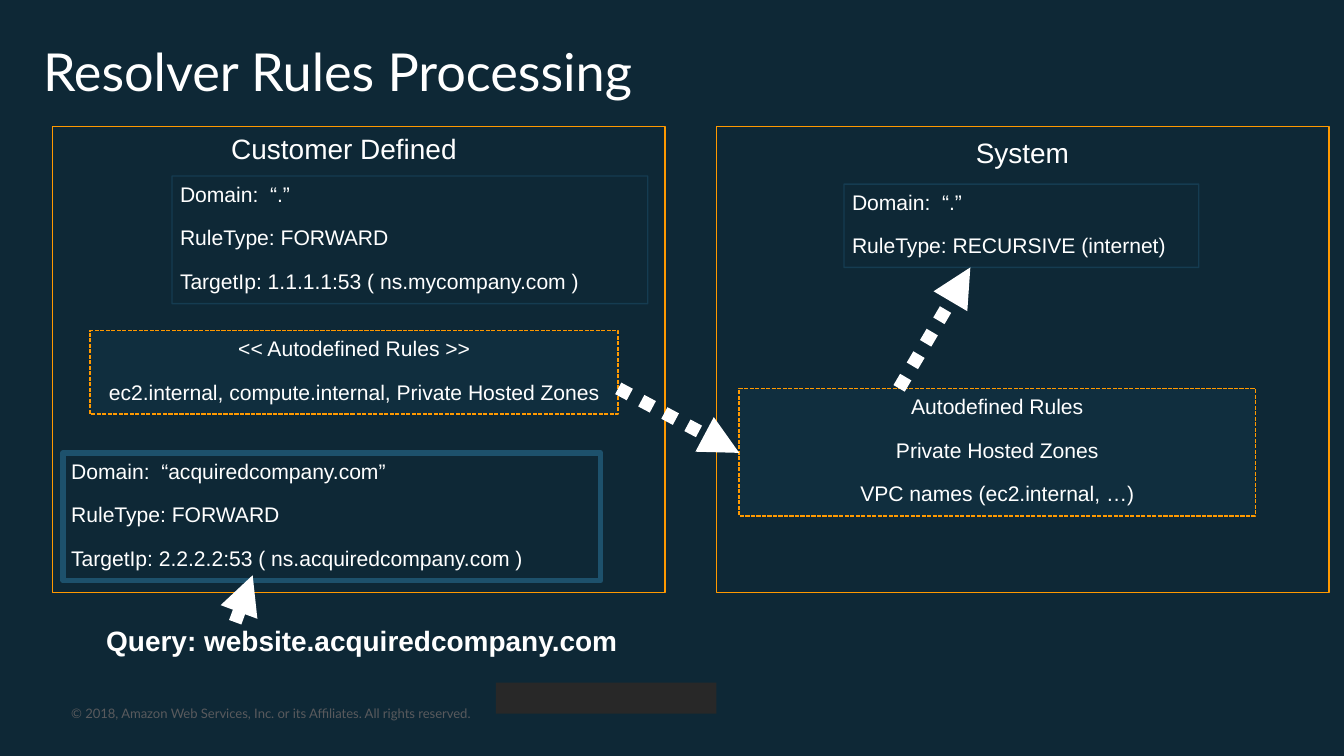
from lxml import etree
from pptx import Presentation
from pptx.dml.color import RGBColor
from pptx.enum.dml import MSO_LINE
from pptx.enum.shapes import MSO_CONNECTOR, MSO_SHAPE
from pptx.enum.text import MSO_ANCHOR, MSO_AUTO_SIZE, PP_ALIGN
from pptx.oxml.ns import qn
from pptx.util import Inches, Pt

NAVY = RGBColor(0x0E, 0x28, 0x36)
BLUE = RGBColor(0x1D, 0x51, 0x6C)
ORANGE = RGBColor(0xFF, 0x99, 0x00)
WHITE = RGBColor(0xFF, 0xFF, 0xFF)
GREY = RGBColor(0x59, 0x5A, 0x5D)
CHARCOAL = RGBColor(0x28, 0x28, 0x28)
LEFT, CENTER = PP_ALIGN.LEFT, PP_ALIGN.CENTER
TOP, NO_FIT = MSO_ANCHOR.TOP, MSO_AUTO_SIZE.NONE
RECTANGLE, STRAIGHT = MSO_SHAPE.RECTANGLE, MSO_CONNECTOR.STRAIGHT
DASH, DOT = MSO_LINE.SQUARE_DOT, MSO_LINE.ROUND_DOT
TITLE_ONLY = 5
PANEL_WIDTH, PANEL_HEIGHT = 4.56, 3.47


def write(frame, lines, size=11.25, font="Arial", color=WHITE, bold=False, align=LEFT,
          insets=(0.06, 0.06), wrap=True, line_spacing=0.9, space_after=11.25):
    frame.word_wrap = wrap
    frame.auto_size = NO_FIT
    frame.vertical_anchor = TOP
    frame.margin_left = frame.margin_right = Inches(insets[0])
    frame.margin_top = frame.margin_bottom = Inches(insets[1])
    for index, line in enumerate(lines):
        para = frame.add_paragraph() if index else frame.paragraphs[0]
        para.alignment = align
        para.line_spacing = line_spacing
        para.space_after = Pt(space_after)
        span = para.add_run()
        span.text = line
        span.font.name = font
        span.font.size = Pt(size)
        span.font.bold = bold
        span.font.color.rgb = color


def set_alpha(fill_holder, percent):
    """Make the solid fill colour inside the given XML element translucent."""
    color = fill_holder.find(qn("a:solidFill"))[0]
    etree.SubElement(color, qn("a:alpha"), val=str(percent * 1000))


def add_box(page, left, top, width, height, fill=None, fill_alpha=None,
            line=None, line_width=0.75, line_alpha=None, dash=None):
    box = page.shapes.add_shape(RECTANGLE, *map(Inches, (left, top, width, height)))
    box.shadow.inherit = False
    if fill is None:
        box.fill.background()
    else:
        box.fill.solid()
        box.fill.fore_color.rgb = fill
        if fill_alpha:
            set_alpha(box._element.spPr, fill_alpha)
    if line is None:
        box.line.fill.background()
    else:
        box.line.color.rgb = line
        box.line.width = Pt(line_width)
        if line_alpha:
            set_alpha(box.line._get_or_add_ln(), line_alpha)
        if dash:
            box.line.dash_style = dash
    return box


def add_label(page, text, left, top, width, height, **text_format):
    label = page.shapes.add_textbox(*map(Inches, (left, top, width, height)))
    write(label.text_frame, [text], **text_format)


def add_heading(page, text, left, top, width, bold=False):
    add_label(page, text, left, top, width, 0.43, size=15, bold=bold,
              insets=(0.12, 0.1), wrap=False)


def add_rule(page, lines, left, top, width, line_width=0.75, line_alpha=50):
    box = add_box(page, left, top, width, 0.95 if len(lines) == 3 else 0.62,
                  line=BLUE, line_width=line_width, line_alpha=line_alpha)
    write(box.text_frame, lines)


def add_autodefined(page, lines, left, top, width):
    box = add_box(page, left, top, width, 0.95 if len(lines) == 3 else 0.62,
                  fill=BLUE, fill_alpha=15, line=ORANGE, dash=DASH)
    write(box.text_frame, lines, align=CENTER)


def add_arrow(page, start, end, dash=None):
    arrow = page.shapes.add_connector(STRAIGHT, *map(Inches, start + end))
    arrow.line.color.rgb = WHITE
    arrow.line.width = Pt(7)
    if dash:
        arrow.line.dash_style = dash
    etree.SubElement(arrow.line._get_or_add_ln(), qn("a:tailEnd"), type="triangle")
    etree.SubElement(arrow._element.spPr, qn("a:effectLst"))


def add_title(page, left, top, width, height):
    title = page.shapes.title
    title.left, title.top, title.width, title.height = map(
        Inches, (left, top, width, height))
    write(title.text_frame, ["Resolver Rules Processing"], size=28, font="Lato",
          insets=(0.1, 0.05), line_spacing=1.0, space_after=0)


def add_footer(page, left, top):
    add_label(page, "© 2018, Amazon Web Services, Inc. or its Affiliates. All rights reserved.",
              left, top, 3.31, 0.12, size=7, font="Lato", color=GREY,
              insets=(0, 0), line_spacing=1.0, space_after=0)
    add_box(page, left + 3.16, top - 0.17, 1.64, 0.23, fill=CHARCOAL)


def add_customer_panel(page, left, top):
    add_box(page, left, top, PANEL_WIDTH, PANEL_HEIGHT, line=ORANGE)
    add_heading(page, "Customer Defined", left + 1.21, top - 0.03, 1.95)
    add_rule(page, ["Domain:  “.”", "RuleType: FORWARD",
                    "TargetIp: 1.1.1.1:53 ( ns.mycompany.com )"],
             left + 0.89, top + 0.37, 3.54)
    add_rule(page, ["Domain:  “acquiredcompany.com”", "RuleType: FORWARD",
                    "TargetIp: 2.2.2.2:53 ( ns.acquiredcompany.com )"],
             left + 0.08, top + 2.43, 4, line_width=3, line_alpha=None)
    add_heading(page, "Query: website.acquiredcompany.com",
                left + 0.28, top + 3.63, 4.09, bold=True)
    add_autodefined(page, ["<< Autodefined Rules >>",
                           "ec2.internal, compute.internal, Private Hosted Zones"],
                    left + 0.28, top + 1.52, 3.93)
    add_arrow(page, (left + 1.36, top + 3.69), (left + 1.49, top + 3.34))


def add_system_panel(page, left, top):
    add_box(page, left, top, PANEL_WIDTH, PANEL_HEIGHT, line=ORANGE)
    add_heading(page, "System", left + 1.81, top, 0.95)
    add_rule(page, ["Domain:  “.”", "RuleType: RECURSIVE (internet)"],
             left + 0.95, top + 0.43, 2.64)
    add_autodefined(page, ["Autodefined Rules", "Private Hosted Zones",
                           "VPC names (ec2.internal, …)"],
                    left + 0.17, top + 1.95, 3.84)
    add_arrow(page, (left + 1.36, top + 1.95), (left + 1.89, top + 1.05), dash=DOT)


def main():
    deck = Presentation()
    deck.slide_width = Inches(10)
    deck.slide_height = deck.slide_width * 9 // 16
    page = deck.slides.add_slide(deck.slide_layouts[TITLE_ONLY])
    page.background.fill.solid()
    page.background.fill.fore_color.rgb = NAVY
    add_footer(page, 0.53, 5.25)
    add_title(page, 0.22, 0.24, 5.28, 1.11)
    add_customer_panel(page, 0.39, 0.94)
    add_system_panel(page, 5.33, 0.94)
    add_arrow(page, (4.6, 2.89), (5.5, 3.37), dash=DOT)
    deck.save("out.pptx")


if __name__ == "__main__":
    main()
